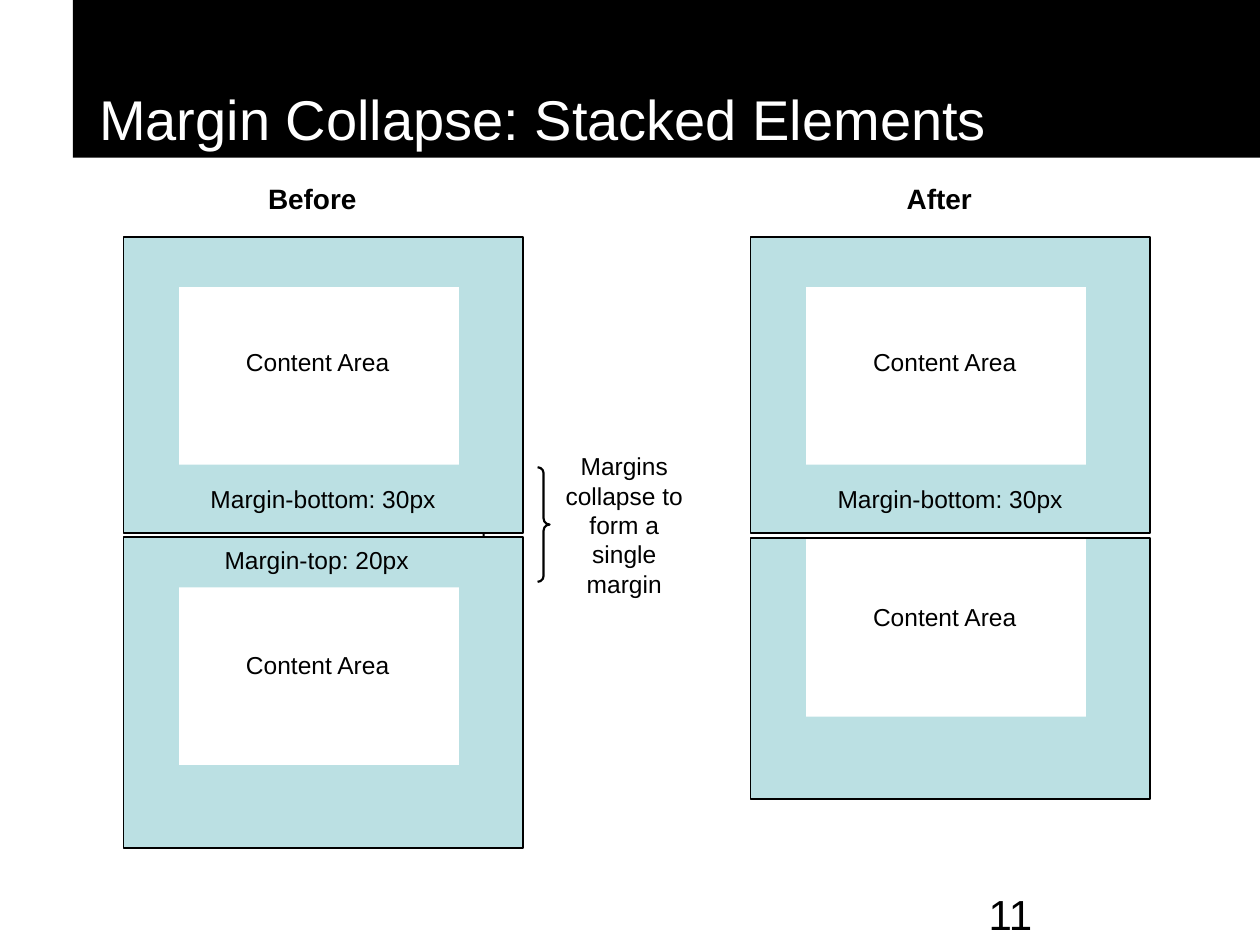
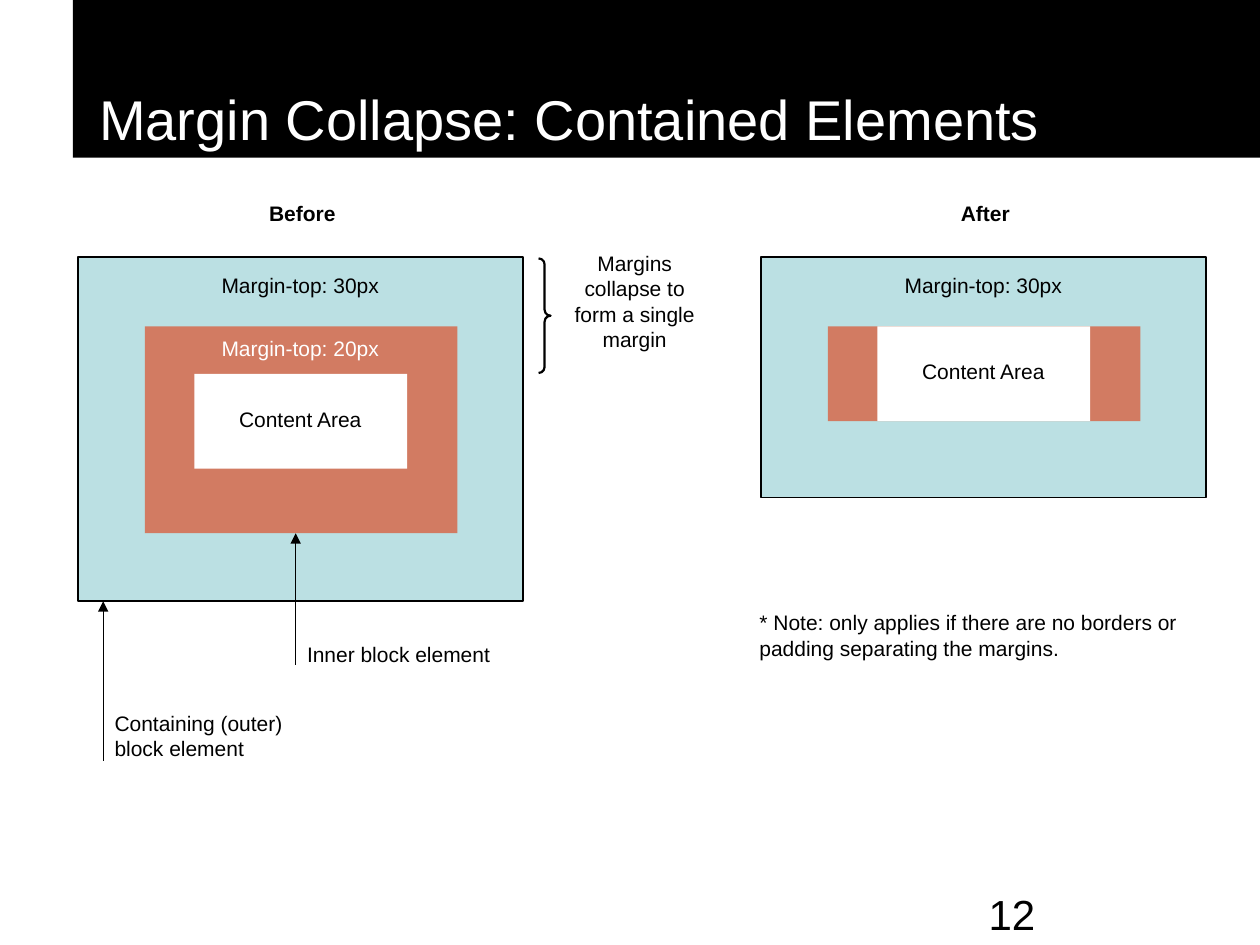
"""Build two slides that explain how vertical margins collapse."""
from lxml import etree
from pptx import Presentation
from pptx.dml.color import RGBColor
from pptx.enum.shapes import MSO_CONNECTOR, MSO_SHAPE
from pptx.enum.text import MSO_ANCHOR, PP_ALIGN
from pptx.oxml.ns import qn
from pptx.util import Cm, Pt

RECTANGLE, BRACES = MSO_SHAPE.RECTANGLE, MSO_SHAPE.DOUBLE_BRACE
STRAIGHT = MSO_CONNECTOR.STRAIGHT
LEFT, CENTER = PP_ALIGN.LEFT, PP_ALIGN.CENTER
TOP, BOTTOM = MSO_ANCHOR.TOP, MSO_ANCHOR.BOTTOM

BLACK, WHITE, AQUA, CLAY = "000000", "FFFFFF", "BBE0E3", "D27B62"
FONT = "Arial"
COLLAPSE_NOTE = "Margins collapse to form a single margin"


def color(value):
    return RGBColor.from_string(value)


class Painter:
    def __init__(self, deck):
        self.deck = deck
        self.page = None
        self.text_size = 14

    def start_page(self, title, number, text_size):
        self.page = self.deck.slides.add_slide(self.deck.slide_layouts[6])
        self.text_size = text_size
        band = self.block(1.47, 0, 23.93, 3.18, BLACK)
        self.fill_text(band, title, 32, WHITE, LEFT, BOTTOM)
        band.text_frame.margin_left = Cm(0.53)
        self.label(number, 19.68, 17.78, 5.28, 1.27, size=24, align=LEFT)

    def shape(self, kind, left, top, width, height, line_width=0):
        shape = self.page.shapes.add_shape(kind, Cm(left), Cm(top), Cm(width), Cm(height))
        shape.shadow.inherit = False
        if line_width:
            shape.line.color.rgb = color(BLACK)
            shape.line.width = Pt(line_width)
        else:
            shape.line.fill.background()
        return shape

    def block(self, left, top, width, height, fill, line_width=0):
        block = self.shape(RECTANGLE, left, top, width, height, line_width)
        block.fill.solid()
        block.fill.fore_color.rgb = color(fill)
        return block

    def braces(self, left, top):
        braces = self.shape(BRACES, left, top, 1.45, 2.31, 1.25)
        braces.fill.background()

    def label(self, text, left, top, width, height, size=None, ink=BLACK, align=CENTER, bold=False):
        box = self.page.shapes.add_textbox(Cm(left), Cm(top), Cm(width), Cm(height))
        self.fill_text(box, text, size or self.text_size, ink, align, TOP, bold)

    def fill_text(self, box, text, size, ink, align, anchor, bold=False):
        frame = box.text_frame
        frame.word_wrap = True
        frame.vertical_anchor = anchor
        para = frame.paragraphs[0]
        para.alignment = align
        span = para.add_run()
        span.text = text
        span.font.name = FONT
        span.font.size = Pt(size)
        span.font.bold = bold
        span.font.color.rgb = color(ink)

    def arrow(self, x, tip, end):
        arrow = self.page.shapes.add_connector(STRAIGHT, Cm(x), Cm(tip), Cm(x), Cm(end))
        arrow.line.color.rgb = color(BLACK)
        arrow.line.width = Pt(0.75)
        properties = arrow._element.spPr
        etree.SubElement(properties.find(qn("a:ln")), qn("a:headEnd"), type="triangle")
        etree.SubElement(properties, qn("a:effectLst"))


def stacked_column(painter, heading, left, lower_top, lower_height, lower_content_top):
    rows = (
        (4.78, 5.97, 5.79, 6.88),
        (lower_top, lower_height, lower_content_top, lower_content_top + 1.14),
    )
    painter.label(heading, left + 1.62, 3.53, 4.37, 0.94, size=16, bold=True)
    for top, height, content_top, caption_top in rows:
        painter.block(left, top, 8.05, height, AQUA, 1)
        painter.block(left + 1.12, content_top, 5.64, 3.58, WHITE)
        painter.label("Content Area", left + 1.58, caption_top, 4.67, 0.86)
    painter.label("Margin-bottom: 30px", left, 9.63, 8.05, 0.86)


def contained_column(painter, heading, left, outer_height, inner_height, content_top):
    painter.label(heading, left + 2.34, 3.91, 4.37, 0.76, bold=True)
    painter.block(left, 5.18, 8.97, outer_height, AQUA, 1)
    painter.block(left + 1.35, 6.58, 6.3, inner_height, CLAY)
    painter.block(left + 2.35, content_top, 4.29, 1.91, WHITE)
    painter.label("Content Area", left + 1.88, content_top + 0.53, 5.21, 0.76)
    painter.label("Margin-top: 30px", left, 5.36, 8.97, 0.76)


def stacked_page(painter):
    painter.start_page("Margin Collapse: Stacked Elements", "11", 14)
    painter.braces(9.63, 9.42)
    stacked_column(painter, "Before", 2.49, 10.82, 6.27, 11.84)
    stacked_column(painter, "After", 15.13, 10.85, 5.26, 10.87)
    painter.label("Margin-top: 20px", 2.36, 10.87, 8.05, 0.86)
    painter.label(COLLAPSE_NOTE, 10.97, 8.97, 3.23, 3.23)


def contained_page(painter):
    painter.start_page("Margin Collapse: Contained Elements", "12", 12)
    painter.braces(9.65, 5.21)
    contained_column(painter, "Before", 1.57, 6.93, 4.17, 7.54)
    contained_column(painter, "After", 15.34, 4.85, 1.91, 6.58)
    painter.label("Margin-top: 20px", 1.57, 6.63, 8.97, 0.76, ink=WHITE)
    painter.label(COLLAPSE_NOTE, 11.18, 4.93, 3.23, 2.29)
    painter.arrow(2.08, 12.12, 15.34)
    painter.label("Containing (outer) block element", 2.06, 14.2, 4.93, 1.27, align=LEFT)
    painter.arrow(5.96, 10.75, 13.41)
    painter.label("Inner block element", 5.94, 12.8, 4.93, 0.76, align=LEFT)
    painter.label(
        "* Note: only applies if there are no borders or padding separating the margins.",
        15.06, 12.17, 9.27, 1.27, align=LEFT,
    )


def main():
    deck = Presentation()
    deck.slide_width, deck.slide_height = Cm(25.4), Cm(19.05)
    painter = Painter(deck)
    stacked_page(painter)
    contained_page(painter)
    deck.save("out.pptx")


if __name__ == "__main__":
    main()
